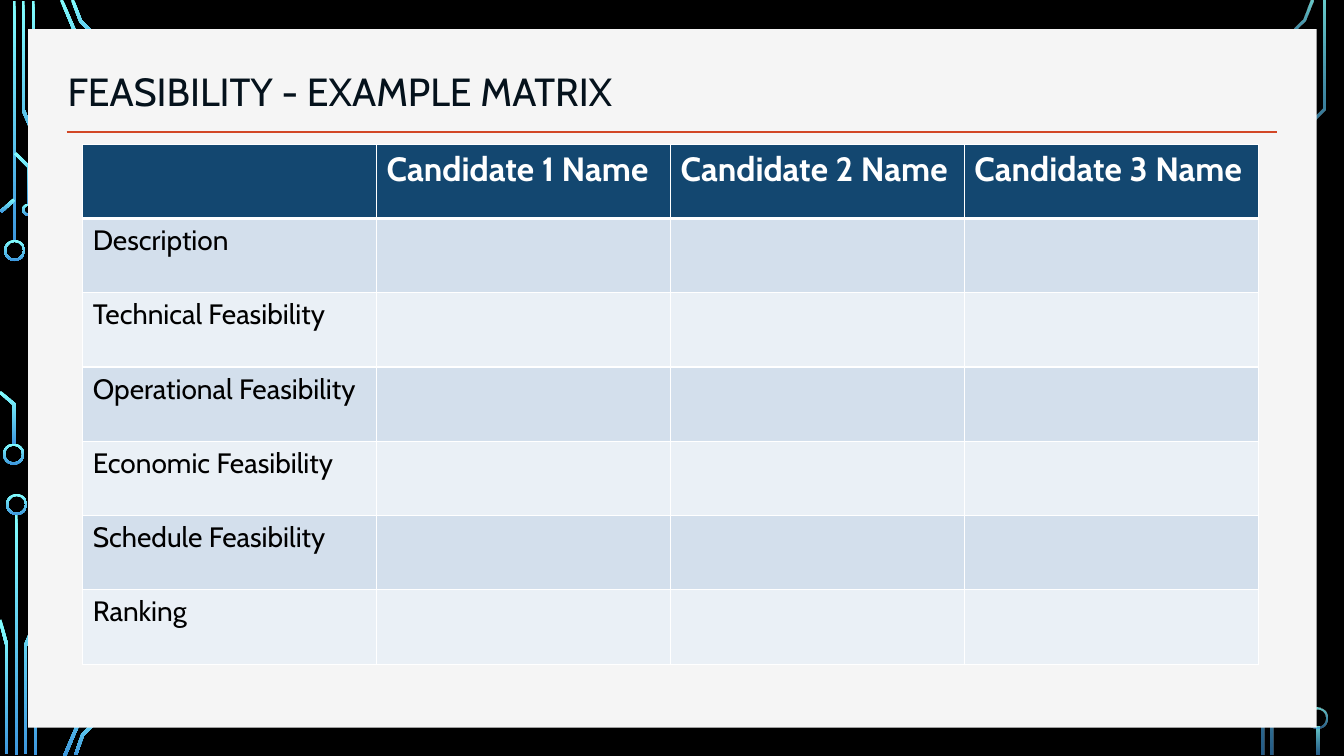
from itertools import product
from math import hypot

from lxml import etree
from pptx import Presentation
from pptx.dml.color import RGBColor
from pptx.enum.shapes import MSO_CONNECTOR, MSO_SHAPE
from pptx.enum.text import MSO_ANCHOR, MSO_AUTO_SIZE, PP_ALIGN
from pptx.oxml.ns import qn
from pptx.util import Inches, Pt

RECTANGLE, DONUT = MSO_SHAPE.RECTANGLE, MSO_SHAPE.DONUT
STRAIGHT, BOTTOM, LEFT = MSO_CONNECTOR.STRAIGHT, MSO_ANCHOR.BOTTOM, PP_ALIGN.LEFT
NO_AUTOFIT = MSO_AUTO_SIZE.NONE

THEME = {
    "font": "Cabin",
    "title_size": Pt(28), "header_size": Pt(24), "label_size": Pt(20),
    "background": RGBColor(0, 0, 0),
    "panel": RGBColor(0xF5, 0xF5, 0xF5),
    "rule": RGBColor(0xD2, 0x47, 0x26),
    "title": RGBColor(0x05, 0x12, 0x1C),
    "header": RGBColor(0x13, 0x47, 0x70),
    "header_text": RGBColor(0xFF, 0xFF, 0xFF),
    "label_text": RGBColor(0, 0, 0),
    "bands": [RGBColor(0xD3, 0xDF, 0xEC), RGBColor(0xEA, 0xF0, 0xF6)],
    "circuit": [RGBColor(0x82, 0xFF, 0xFF), RGBColor(0x3D, 0x97, 0xDE)],
    "border": "FFFFFF",
}
TRACE_WIDTH = 0.03

# Each side: opacity of the two gradient stops, trace centre lines, rings (left, top, size)
CIRCUITS = [
    ((100, 100), [
        [(0.14, 0.01), (0.14, 2.4)],
        [(0.23, 0.01), (0.23, 1.09), (0.61, 1.99)],
        [(0.33, 0.01), (0.33, 0.66), (0.71, 1.56)],
        [(0.61, 0), (0.75, 0.33), (0.75, 1)],
        [(0.72, 0), (0.8, 0.21), (1.16, 0.57)],
        [(0.01, 2.1), (0.14, 1.98)],
        [(0, 3.89), (0.14, 4.01), (0.14, 4.41)],
        [(0.15, 1.52), (0.29, 1.66), (0.29, 2.03)],
        [(0.16, 5.1), (0.16, 7.49)],
        [(0.25, 7.48), (0.25, 6.41), (0.63, 5.51)],
        [(0, 6.15), (0.07, 6.41), (0.07, 7.48)],
        [(0.35, 7.49), (0.35, 6.83), (0.73, 5.93)],
        [(0.64, 7.5), (0.78, 7.17), (0.78, 6.5)],
        [(0.75, 7.49), (0.82, 7.29), (1.18, 6.93)],
    ], [(0.04, 2.38, 0.21), (0.03, 4.4, 0.21), (0.22, 2.02, 0.12), (0.06, 4.9, 0.21)]),
    ((80, 60), [
        [(13.01, 0), (12.93, 0.2), (12.57, 0.56)],
        [(12.62, 7.49), (12.62, 6.93), (12.93, 6.23)],
        [(12.82, 1.69), (12.82, 1.39), (13.13, 1.08), (13.13, 0.01)],
        [(12.53, 7.49), (12.53, 6.13), (12.84, 5.83), (12.84, 5.52)],
        [(13.07, 7.21), (13.07, 7.49)],
    ], [(12.96, 7.02, 0.21)]),
]
CANDIDATES = ["Candidate 1 Name", "Candidate 2 Name", "Candidate 3 Name"]
CRITERIA = ["Description", "Technical Feasibility", "Operational Feasibility",
            "Economic Feasibility", "Schedule Feasibility", "Ranking"]


def trace_outline(points):
    """Return the closed outline of a trace, with mitred corners."""
    normals = []
    for (x1, y1), (x2, y2) in zip(points, points[1:]):
        length = hypot(x2 - x1, y2 - y1)
        normals.append(((y1 - y2) / length, (x2 - x1) / length))
    right, left = [], []
    for (x, y), (ax, ay), (bx, by) in zip(points, normals[:1] + normals, normals + normals[-1:]):
        reach = TRACE_WIDTH / 2 / (1 + ax * bx + ay * by)
        dx, dy = (ax + bx) * reach, (ay + by) * reach
        right.append((Inches(x + dx), Inches(y + dy)))
        left.append((Inches(x - dx), Inches(y - dy)))
    return right + left[::-1]


def format_text(paragraph, size, color, bold=False):
    """Apply the slide font to a paragraph."""
    paragraph.alignment = LEFT
    for attribute, value in {"name": THEME["font"], "size": size, "bold": bold}.items():
        setattr(paragraph.font, attribute, value)
    paragraph.font.color.rgb = color


prs = Presentation()
prs.slide_width, prs.slide_height = Inches(13.33), Inches(7.5)
slide = prs.slides.add_slide(prs.slide_layouts[5])
slide.background.fill.solid()
slide.background.fill.fore_color.rgb = THEME["background"]
shapes = slide.shapes

# Circuit decoration around the panel
for opacities, traces, rings in CIRCUITS:
    circuit_parts = []
    for trace in traces:
        start, *others = trace_outline(trace)
        builder = shapes.build_freeform(*start)
        builder.add_line_segments(others, close=True)
        circuit_parts.append(builder.convert_to_shape())
    for left, top, size in rings:
        ring = shapes.add_shape(DONUT, Inches(left), Inches(top), Inches(size), Inches(size))
        ring.adjustments[0] = 0.02 / size
        circuit_parts.append(ring)
    for part in circuit_parts:
        part.shadow.inherit = False
        part.line.fill.background()
        part.fill.gradient()
        part.fill.gradient_angle = 270
        for stop, color in zip(part.fill.gradient_stops, THEME["circuit"]):
            stop.color.rgb = color
        for color_node, opacity in zip(part._element.iter(qn("a:srgbClr")), opacities):
            if opacity < 100:
                etree.SubElement(color_node, qn("a:alpha"), val=str(opacity * 1000))

panel = shapes.add_shape(RECTANGLE, Inches(0.28), Inches(0.29), Inches(12.78), Inches(6.93))
panel.shadow.inherit = False
panel.fill.solid()
panel.fill.fore_color.rgb = THEME["panel"]
panel.line.fill.background()

title_rule = shapes.add_connector(STRAIGHT, Inches(0.66), Inches(1.31), Inches(12.67), Inches(1.31))
title_rule.line.color.rgb = THEME["rule"]
title_rule.line.width = Pt(2)
etree.SubElement(title_rule._element.spPr, qn("a:effectLst"))

# Title, brought in front of the panel
title = shapes.title
shapes._spTree.append(title._element)
title.left, title.top, title.width, title.height = map(Inches, (0.57, 0.49, 9.69, 0.7))
title.text = "FEASIBILITY - EXAMPLE MATRIX"
frame_format = {"vertical_anchor": BOTTOM, "auto_size": NO_AUTOFIT, "word_wrap": True}
for attribute, value in frame_format.items():
    setattr(title.text_frame, attribute, value)
title.text_frame.paragraphs[0].line_spacing = 0.9
format_text(title.text_frame.paragraphs[0], THEME["title_size"], THEME["title"])

# Feasibility matrix
rows = [["", *CANDIDATES]] + [[criterion, "", "", ""] for criterion in CRITERIA]
matrix = shapes.add_table(len(rows), len(rows[0]), Inches(0.82), Inches(1.43),
                          Inches(11.66), Inches(5.16)).table
for row, column in product(range(len(rows)), range(len(rows[0]))):
    cell = matrix.cell(row, column)
    is_header = row == 0
    cell.fill.solid()
    cell.fill.fore_color.rgb = THEME["header"] if is_header else THEME["bands"][(row - 1) % 2]
    if rows[row][column]:
        cell.text = rows[row][column]
        format_text(cell.text_frame.paragraphs[0],
                    THEME["header_size" if is_header else "label_size"],
                    THEME["header_text" if is_header else "label_text"], is_header)
    borders = {"a:lnL": 1, "a:lnR": 1, "a:lnT": 3 if row == 1 else 1, "a:lnB": 3 if is_header else 1}
    for position, (side, width) in enumerate(borders.items()):
        border = etree.Element(qn(side), w=str(Pt(width)))
        border_fill = etree.SubElement(border, qn("a:solidFill"))
        etree.SubElement(border_fill, qn("a:srgbClr"), val=THEME["border"])
        cell._tc.tcPr.insert(position, border)

prs.save("out.pptx")
